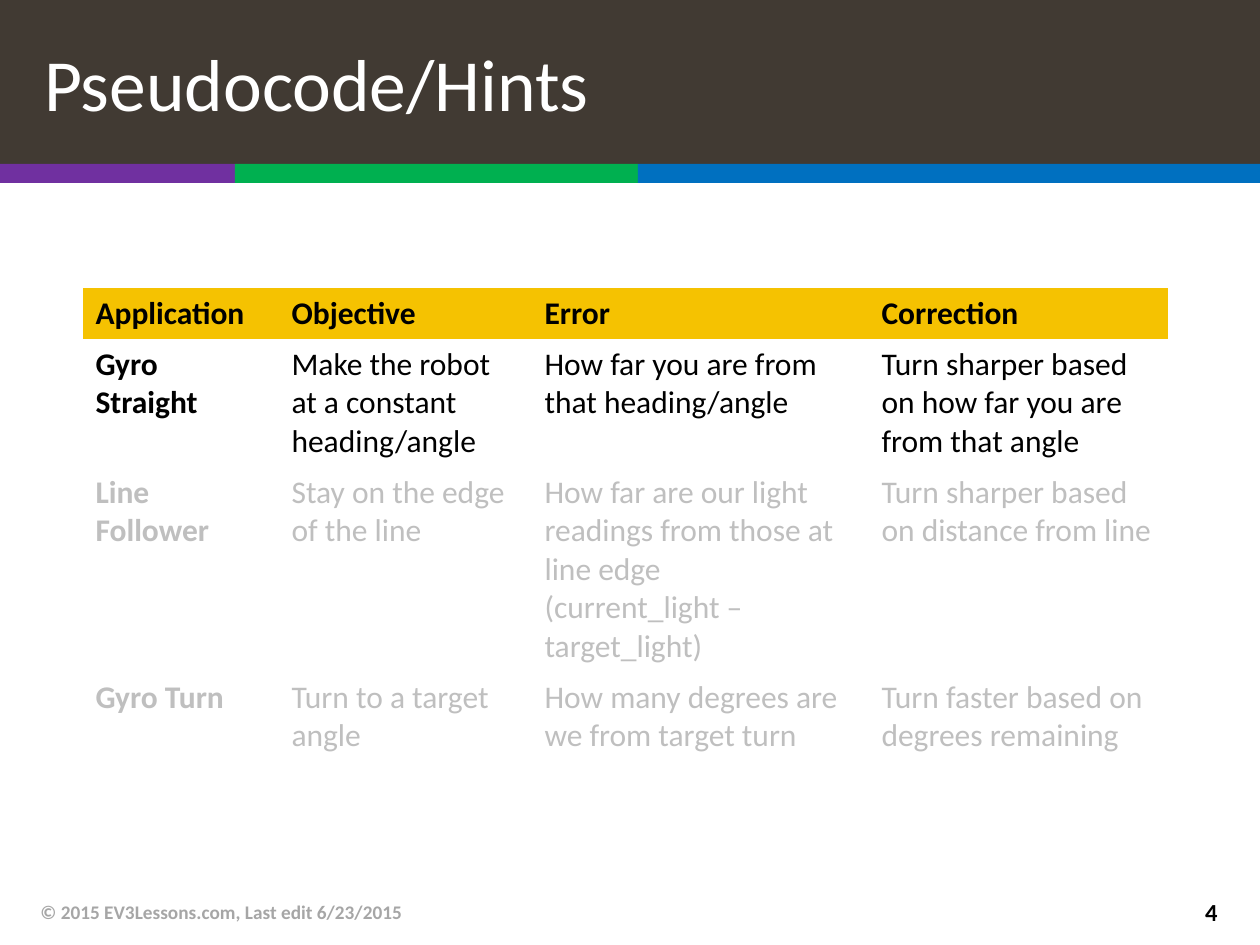
import pptx
import pptx.dml.color
import pptx.enum.shapes
import pptx.enum.text
import pptx.oxml.ns
import pptx.util

EMU_PER_PX = 914400 / 126
FONT = "Calibri"
BLACK, WHITE, FADED = "000000", "FFFFFF", "BFBFBF"
HEADER_FILL = "F5C201"
NO_GRID_STYLE = "{2D5ABB26-0587-4C30-8999-92F81FD0307C}"

# Color, left edge and right edge of each stripe
STRIPES = [("7030A0", 0, 235), ("00B050", 235, 638), ("0070C0", 638, 1260)]

COLUMN_WIDTHS = [196, 253, 337, 299]
ROW_HEIGHTS = [51, 128, 204, 102]
ROW_COLORS = [BLACK, BLACK, FADED, FADED]
ROWS = [
    ["Application", "Objective", "Error", "Correction"],
    ["Gyro Straight", "Make the robot at a constant heading/angle",
     "How far you are from that heading/angle",
     "Turn sharper based on how far you are from that angle"],
    ["Line Follower", "Stay on the edge of the line",
     "How far are our light readings from those at line edge\n(current_light – target_light)",
     "Turn sharper based on distance from line"],
    ["Gyro Turn", "Turn to a target angle",
     "How many degrees are we from target turn",
     "Turn faster based on degrees remaining"],
]


def px(length):
    return pptx.util.Emu(round(length * EMU_PER_PX))


def rgb(color):
    return pptx.dml.color.RGBColor.from_string(color)


def set_fill(item, color):
    item.fill.solid()
    item.fill.fore_color.rgb = rgb(color)


def add_text(paragraph, text, size, color, bold=False):
    for index, line in enumerate(text.split("\n")):
        if index:
            paragraph.add_line_break()
        run = paragraph.add_run()
        run.text = line
        run.font.name = FONT
        run.font.size = pptx.util.Pt(size)
        run.font.bold = bold
        run.font.color.rgb = rgb(color)


def format_title(slide, text):
    title = slide.shapes.title
    title.left, title.top, title.width, title.height = px(0), px(0), px(1260), px(164)
    set_fill(title, "413A33")
    frame = title.text_frame
    frame.auto_size = pptx.enum.text.MSO_AUTO_SIZE.NONE
    frame.vertical_anchor = pptx.enum.text.MSO_ANCHOR.MIDDLE
    frame.margin_left = px(44)
    paragraph = frame.paragraphs[0]
    paragraph.alignment = pptx.enum.text.PP_ALIGN.LEFT
    paragraph.line_spacing = 1.0
    add_text(paragraph, text, 42, WHITE)


def add_stripe(slide, color, left, right):
    stripe = slide.shapes.add_shape(
        pptx.enum.shapes.MSO_SHAPE.RECTANGLE, px(left), px(164), px(right - left), px(19))
    stripe.shadow.inherit = False
    set_fill(stripe, color)
    stripe.line.fill.background()


def add_footer(slide, text, left, width, size, color, alignment):
    box = slide.shapes.add_textbox(px(left), px(887), px(width), px(50))
    frame = box.text_frame
    frame.word_wrap = True
    frame.vertical_anchor = pptx.enum.text.MSO_ANCHOR.MIDDLE
    paragraph = frame.paragraphs[0]
    paragraph.alignment = alignment
    add_text(paragraph, text, size, color, bold=True)


def add_hints_table(slide):
    frame = slide.shapes.add_table(
        len(ROWS), len(COLUMN_WIDTHS), px(83), px(288),
        px(sum(COLUMN_WIDTHS)), px(sum(ROW_HEIGHTS)))
    table = frame.table
    table.horz_banding = False
    # Plain table style, without borders
    style = frame._element.find(".//" + pptx.oxml.ns.qn("a:tableStyleId"))
    style.text = NO_GRID_STYLE
    for column, width in zip(table.columns, COLUMN_WIDTHS):
        column.width = px(width)
    for row_index, texts in enumerate(ROWS):
        table.rows[row_index].height = px(ROW_HEIGHTS[row_index])
        for column_index, text in enumerate(texts):
            cell = table.cell(row_index, column_index)
            if row_index == 0:
                set_fill(cell, HEADER_FILL)
            else:
                cell.fill.background()
            bold = row_index == 0 or column_index == 0
            add_text(cell.text_frame.paragraphs[0], text, 18, ROW_COLORS[row_index], bold)


def main():
    presentation = pptx.Presentation()
    presentation.slide_width, presentation.slide_height = px(1260), px(945)
    slide = presentation.slides.add_slide(presentation.slide_layouts[5])

    # Heading band and stripes
    format_title(slide, "Pseudocode/Hints")
    for color, left, right in STRIPES:
        add_stripe(slide, color, left, right)

    # Hints
    add_hints_table(slide)

    # Footer
    align = pptx.enum.text.PP_ALIGN
    add_footer(slide, "© 2015 EV3Lessons.com, Last edit 6/23/2015", 28, 844, 11, "A6A6A6", align.LEFT)
    add_footer(slide, "4", 1143, 87, 14, BLACK, align.RIGHT)

    presentation.save("out.pptx")


if __name__ == "__main__":
    main()
